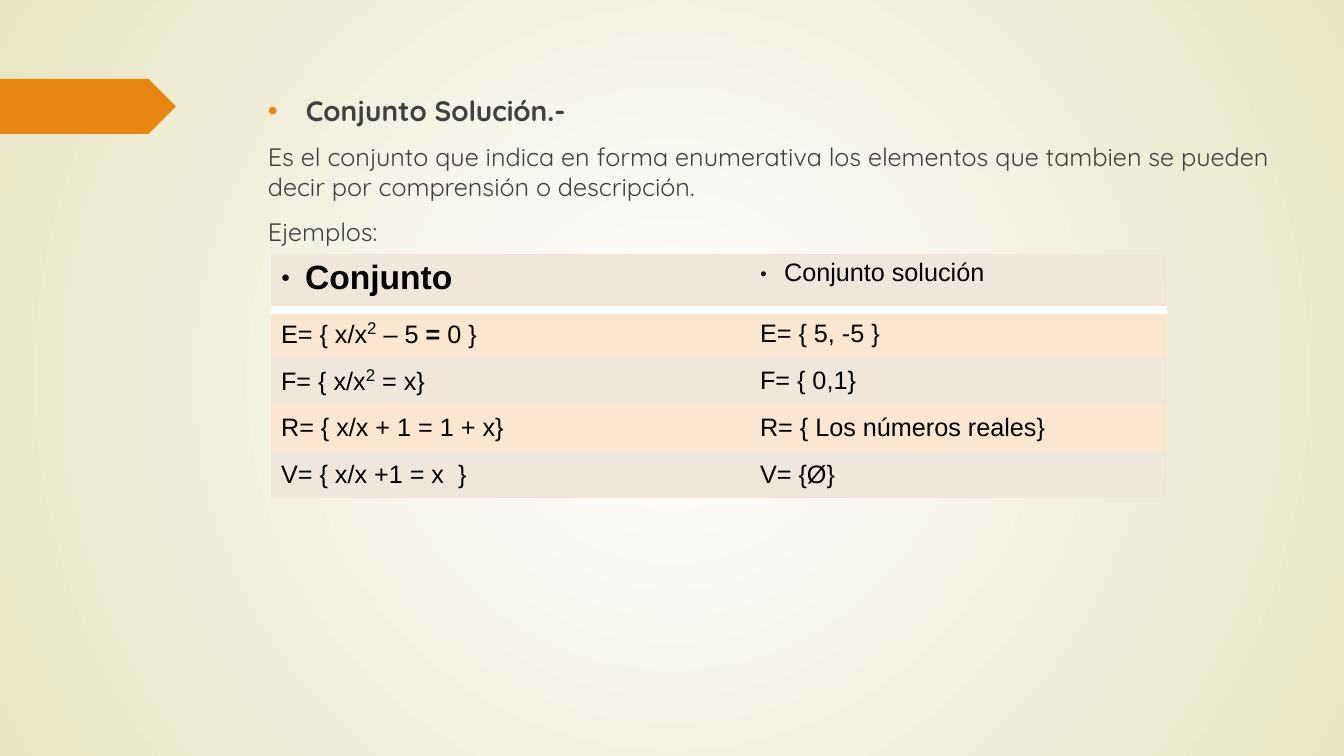
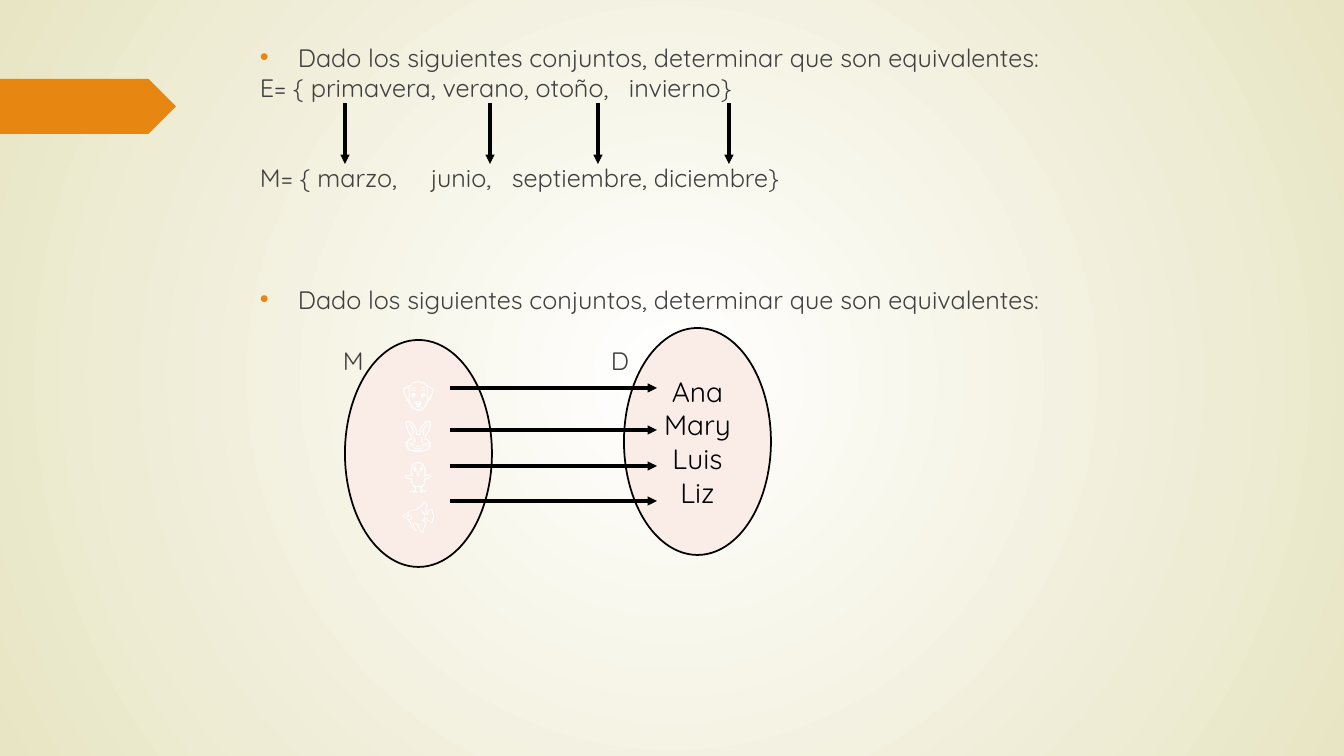
from lxml import etree
from pptx import Presentation
from pptx.dml.color import RGBColor
from pptx.enum.shapes import MSO_CONNECTOR, MSO_SHAPE
from pptx.enum.text import MSO_ANCHOR, PP_ALIGN
from pptx.oxml.ns import qn
from pptx.util import Emu, Pt

STRAIGHT = MSO_CONNECTOR.STRAIGHT
OVAL, TAG = MSO_SHAPE.OVAL, MSO_SHAPE.PENTAGON
TOP, MIDDLE = MSO_ANCHOR.TOP, MSO_ANCHOR.MIDDLE
CENTER = PP_ALIGN.CENTER

W, H = 1344, 756
BODY_FONT, TABLE_FONT = "Quicksand", "Arial"
ORANGE, GREY, BLACK, WHITE = "E78712", "404040", "000000", "FFFFFF"
EDGE, BEIGE, PEACH, PINK = "E8E5C4", "F0E7DA", "FBE7CF", "FAEDE7"
NO_GRID = "{2D5ABB26-0587-4C30-8999-92F81FD0307C}"
BULLET = {"indent": 38, "bullet": "•", "bullet_color": ORANGE}


def px(n):
    return Emu(round(n * 12192000 / W))


def rgb(value):
    return RGBColor.from_string(value)


def sub(parent, tag, **attrs):
    el = etree.SubElement(parent, qn(tag))
    for key, value in attrs.items():
        el.set(key, str(value))
    return el


# Text
def add_run(p, text, size=18, font=BODY_FONT, color=GREY, bold=False, baseline=0):
    r = p.add_run()
    r.text = text
    r.font.size, r.font.name, r.font.bold = Pt(size), font, bold
    r.font.color.rgb = rgb(color)
    if baseline:
        r.font._element.set("baseline", str(baseline * 1000))


def add_paragraph(tf, text, before=0, align=None, indent=0, bullet=None,
                  bullet_color=BLACK, bullet_size=100, tabs=(), **fmt):
    """Text is a string, or a list of (string, format changes) pairs."""
    p = tf.add_paragraph() if tf.text else tf.paragraphs[0]
    for part, changes in [(text, {})] if isinstance(text, str) else text:
        add_run(p, part, **{**fmt, **changes})
    p.alignment = align
    pPr = p._p.get_or_add_pPr()
    if bullet:
        pPr.set("marL", str(px(indent)))
        pPr.set("indent", str(-px(indent)))
        sub(sub(pPr, "a:buClr"), "a:srgbClr", val=bullet_color)
        sub(pPr, "a:buSzPct", val=bullet_size * 1000)
        sub(pPr, "a:buFont", typeface="Arial")
        sub(pPr, "a:buChar", char=bullet)
    if tabs:
        stops = sub(pPr, "a:tabLst")
        for pos in tabs:
            sub(stops, "a:tab", pos=px(pos), algn="l")
    p.space_before = Pt(before)


def add_body(s, x, y, w, h):
    tf = s.shapes.add_textbox(px(x), px(y), px(w), px(h)).text_frame
    tf.word_wrap = True
    return tf


# Shapes
def add_shape(s, kind, x, y, w, h, fill, line=None):
    sp = s.shapes.add_shape(kind, px(x), px(y), px(w), px(h))
    sp.shadow.inherit = False
    sp.fill.solid()
    sp.fill.fore_color.rgb = rgb(fill)
    if line:
        sp.line.color.rgb = rgb(line)
        sp.line.width = Pt(1.25)
    else:
        sp.line.fill.background()
    return sp


def add_arrow(s, x1, y1, x2, y2):
    c = s.shapes.add_connector(STRAIGHT, px(x1), px(y1), px(x2), px(y2))
    c.line.color.rgb = rgb(BLACK)
    c.line.width = Pt(2.25)
    sub(c.line._get_or_add_ln(), "a:tailEnd", type="triangle")
    sub(c._element.spPr, "a:effectLst")


def add_set(s, x, y, members, size, color):
    tf = add_shape(s, OVAL, x, y, 147, 227, PINK, BLACK).text_frame
    tf.word_wrap = True
    tf.vertical_anchor = MIDDLE
    tf.margin_left = tf.margin_right = tf.margin_top = tf.margin_bottom = 0
    for member in members:
        add_paragraph(tf, member, align=CENTER, size=size, color=color)


# Table
def add_bottom_border(cell, color, width):
    tcPr = cell._tc.get_or_add_tcPr()
    ln = sub(tcPr, "a:lnB", w=Pt(width))
    sub(sub(ln, "a:solidFill"), "a:srgbClr", val=color)
    tcPr.insert(0, ln)


def add_table(s, x, y, widths, heights, rows):
    frame = s.shapes.add_table(len(rows), len(widths), px(x), px(y),
                               px(sum(widths)), px(sum(heights)))
    table = frame.table
    table._tbl.tblPr.find(qn("a:tableStyleId")).text = NO_GRID
    for col, width in zip(table.columns, widths):
        col.width = px(width)
    for i, (row, height) in enumerate(zip(rows, heights)):
        table.rows[i].height = px(height)
        for j, text in enumerate(row):
            cell = table.cell(i, j)
            cell.fill.solid()
            cell.fill.fore_color.rgb = rgb(PEACH if i % 2 else BEIGE)
            cell.vertical_anchor = MIDDLE if i else TOP
            fmt = {"font": TABLE_FONT, "color": BLACK}
            if i == 0:
                fmt.update(indent=24, bullet="●", bullet_size=45)
                add_bottom_border(cell, WHITE, 6)
            add_paragraph(cell.text_frame, text, **fmt)


# Shared background and side tag
def new_slide(prs):
    s = prs.slides.add_slide(prs.slide_layouts[6])
    fill = s.background.fill
    fill.gradient()
    for stop, color, pos in zip(fill.gradient_stops, (WHITE, EDGE), (0, 1)):
        stop.color.rgb = rgb(color)
        stop.position = pos
    grad = s._element.find(".//" + qn("a:gradFill"))
    grad.remove(grad.find(qn("a:lin")))
    circle = sub(grad, "a:path", path="circle")
    sub(circle, "a:fillToRect", l=50000, t=50000, r=50000, b=50000)
    add_shape(s, TAG, 0, 79, 176, 55, ORANGE)
    return s


def solution_set_slide(prs):
    s = new_slide(prs)
    tf = add_body(s, 258, 89, 1053, 160)
    add_paragraph(tf, "Conjunto Solución.-", size=20, bold=True, **BULLET)
    add_paragraph(tf, "Es el conjunto que indica en forma enumerativa los elementos "
                  "que tambien se pueden decir por comprensión o descripción.", before=10)
    add_paragraph(tf, "Ejemplos:", before=10)

    squared = ("2", {"size": 20.8, "baseline": 30})
    add_table(s, 271, 254, [479, 417], [56] + [47] * 4, [
        ([("Conjunto", {"size": 24, "bold": True})], "Conjunto solución"),
        ([("E= { x/x", {}), squared, (" – 5 ", {}), ("=", {"bold": True}), (" 0 }", {})],
         "E= { 5, -5 }"),
        ([("F= { x/x", {}), squared, (" = x}", {})], "F= { 0,1}"),
        ("R= { x/x + 1 = 1 + x}", "R= { Los números reales}"),
        ("V= { x/x +1 = x  }", "V= {Ø}"),
    ])


def equivalent_sets_slide(prs):
    s = new_slide(prs)
    question = "Dado los siguientes conjuntos, determinar que son equivalentes:"
    tf = add_body(s, 250, 37, 997, 345)
    add_paragraph(tf, question, **BULLET)
    add_paragraph(tf, "E= { primavera, verano, otoño,\tinvierno}", tabs=[369])
    add_paragraph(tf, "M= { marzo,\tjunio,\tseptiembre, diciembre}", before=43,
                  tabs=[171, 252])
    add_paragraph(tf, question, before=65, **BULLET)
    add_paragraph(tf, "\tM\tD", before=22, tabs=[83, 351])

    # Season to month
    for x in (345, 490, 598, 729):
        add_arrow(s, x, 103, x, 164)

    # Pet to owner
    add_set(s, 345, 340, "🐶🐰🐥🐠", 24, WHITE)
    add_set(s, 624, 328, ["Ana", "Mary", "Luis", "Liz"], 20, BLACK)
    for y in (388, 430, 466, 501):
        add_arrow(s, 450, y, 657, y)


def main():
    prs = Presentation()
    prs.slide_width, prs.slide_height = px(W), px(H)
    solution_set_slide(prs)
    equivalent_sets_slide(prs)
    prs.save("out.pptx")


if __name__ == "__main__":
    main()
